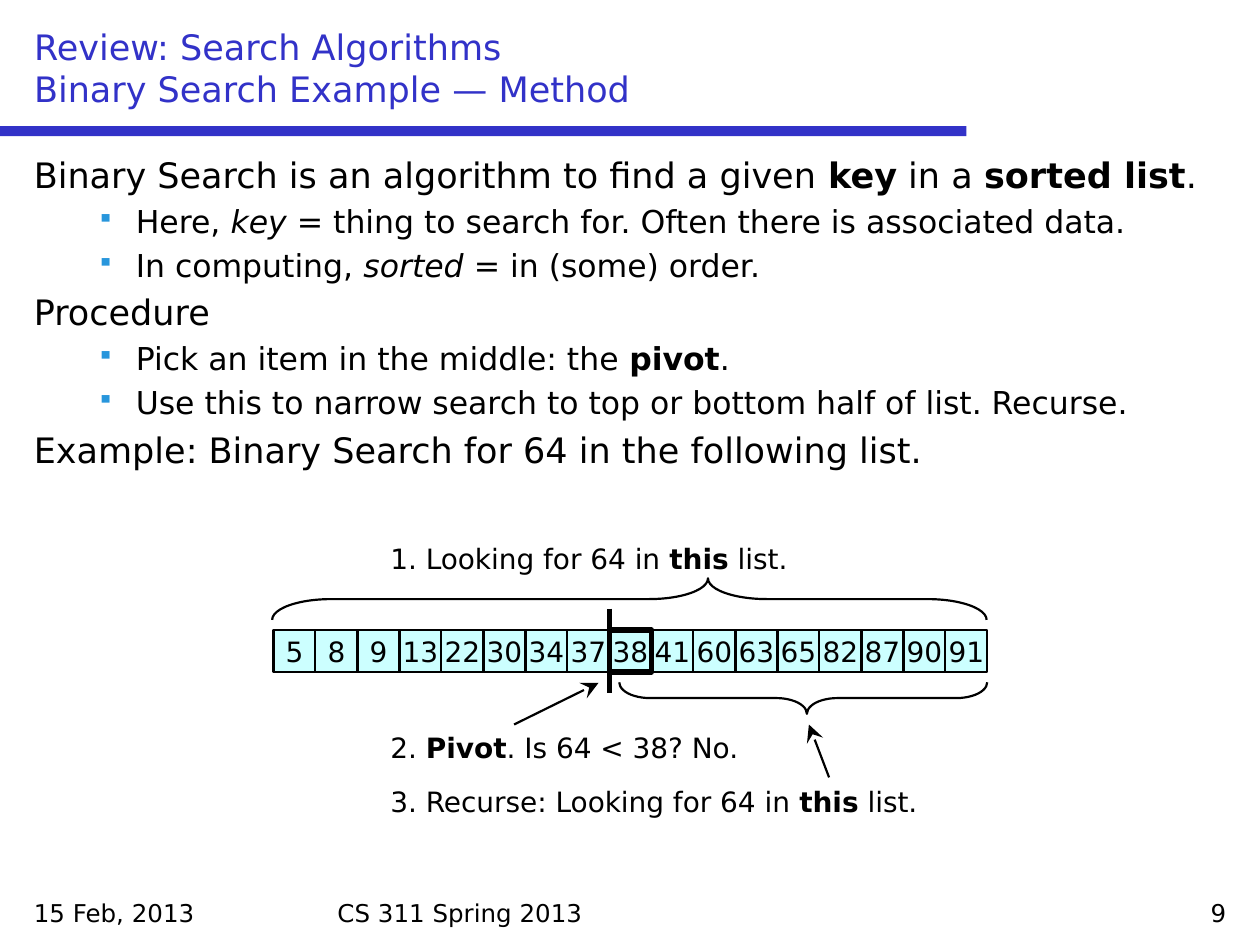
import pptx
import pptx.dml.color
import pptx.enum.shapes
import pptx.enum.text
import pptx.oxml
import pptx.oxml.ns
import pptx.util
from pptx.util import Inches

SHAPE = pptx.enum.shapes.MSO_SHAPE
ALIGN = pptx.enum.text.PP_ALIGN
ANCHOR = pptx.enum.text.MSO_ANCHOR
FONT, BLACK, BLUE, BULLET, CELL = "DejaVu Sans", "000000", "3232C8", "2896DC", "CCFFFF"
LIST = [5, 8, 9, 13, 22, 30, 34, 37, 38, 41, 60, 63, 65, 82, 87, 90, 91]
PIVOT = LIST.index(38)
SIDE = 1 / 3
LIST_LEFT, LIST_TOP = 2.17, 5
BODY = [
    (0, ["Binary Search is an algorithm to find a given ", ("key", "b"), " in a ",
         ("sorted list", "b"), "."]),
    (1, ["Here, ", ("key", "i"), " = thing to search for. Often there is associated data."]),
    (1, ["In computing, ", ("sorted", "i"), " = in (some) order."]),
    (0, ["Procedure"]),
    (1, ["Pick an item in the middle: the ", ("pivot", "b"), "."]),
    (1, ["Use this to narrow search to top or bottom half of list. Recurse."]),
    (0, ["Example: Binary Search for 64 in the following list."]),
]


def rgb(value):
    """Turn a hex string into a colour."""
    return pptx.dml.color.RGBColor.from_string(value)


def write(p, runs, size=16, color=BLACK, align=ALIGN.LEFT, before=0):
    """Write strings, (text, style) pairs and newline breaks into a paragraph."""
    p.alignment = align
    p.space_before = pptx.util.Pt(before)
    for run in runs:
        if run == "\n":
            p.add_line_break()
            continue
        text, style = (run, "") if isinstance(run, str) else run
        r = p.add_run()
        r.text = text
        r.font.name, r.font.size = FONT, pptx.util.Pt(size)
        r.font.color.rgb = rgb(color)
        r.font.bold, r.font.italic = style == "b", style == "i"


def indent(p, left, hanging, bullet=None):
    """Set a hanging indent and an optional coloured bullet."""
    ppr = p._p.get_or_add_pPr()
    ppr.set("marL", str(Inches(left)))
    ppr.set("indent", str(-Inches(hanging)))
    if bullet:
        ns = pptx.oxml.ns.nsdecls("a")
        for xml in (f'<a:buClr {ns}><a:srgbClr val="{BULLET}"/></a:buClr>',
                    f'<a:buSzPct {ns} val="75000"/>',
                    f'<a:buChar {ns} char="{bullet}"/>'):
            ppr.append(pptx.oxml.parse_xml(xml))


def add_text(s, left, top, width, height, runs, **fmt):
    """Add a wrapping one-paragraph text box."""
    tf = s.shapes.add_textbox(Inches(left), Inches(top), Inches(width), Inches(height)).text_frame
    tf.word_wrap = True
    write(tf.paragraphs[0], runs, **fmt)


def add_shape(s, kind, left, top, width, height, fill=None, line=None):
    """Add a preset shape with a flat fill and line."""
    sp = s.shapes.add_shape(kind, Inches(left), Inches(top), Inches(width), Inches(height))
    sp.shadow.inherit = False
    if fill:
        sp.fill.solid()
        sp.fill.fore_color.rgb = rgb(fill)
    else:
        sp.fill.background()
    if line:
        sp.line.color.rgb = rgb(BLACK)
        sp.line.width = pptx.util.Pt(line)
    else:
        sp.line.fill.background()
    return sp


def add_line(s, x1, y1, x2, y2, width=1.25, arrow=True):
    """Add a straight line, with an arrowhead at its end by default."""
    c = s.shapes.add_connector(pptx.enum.shapes.MSO_CONNECTOR.STRAIGHT,
                               Inches(x1), Inches(y1), Inches(x2), Inches(y2))
    c.line.color.rgb = rgb(BLACK)
    c.line.width = pptx.util.Pt(width)
    ns = pptx.oxml.ns.nsdecls("a")
    if arrow:
        c.line._get_or_add_ln().append(
            pptx.oxml.parse_xml(f'<a:tailEnd {ns} type="stealth" w="lg" len="lg"/>'))
    c._element.spPr.append(pptx.oxml.parse_xml(f"<a:effectLst {ns}/>"))


def add_brace(s, left, top, width, height, rotation, curve, point):
    """Add a brace turned to lie along the list."""
    sp = add_shape(s, SHAPE.LEFT_BRACE, left, top, width, height, line=1.25)
    sp.rotation = rotation
    sp.adjustments[0], sp.adjustments[1] = curve, point


def add_cell(s, index, line=1.25):
    """Add the list cell at an index."""
    sp = add_shape(s, SHAPE.RECTANGLE, LIST_LEFT + index * SIDE, LIST_TOP, SIDE, SIDE, CELL, line)
    tf = sp.text_frame
    tf.word_wrap = False
    tf.vertical_anchor = ANCHOR.MIDDLE
    write(tf.paragraphs[0], [str(LIST[index])], align=ALIGN.CENTER)


def add_title(s, runs):
    """Place and fill the title placeholder."""
    sp = s.shapes.title
    sp.left, sp.top, sp.width, sp.height = (Inches(v) for v in (0.17, 0.17, 9.67, 0.75))
    tf = sp.text_frame
    tf.auto_size = pptx.enum.text.MSO_AUTO_SIZE.NONE
    tf.vertical_anchor = ANCHOR.BOTTOM
    write(tf.paragraphs[0], runs, size=20, color=BLUE)


def add_body(s):
    """Add the two-level explanation."""
    tf = s.shapes.add_textbox(Inches(0.17), Inches(1.17), Inches(9.67), Inches(5.83)).text_frame
    tf.word_wrap = True
    for i, (level, runs) in enumerate(BODY):
        p = tf.add_paragraph() if i else tf.paragraphs[0]
        p.level = level
        if level:
            indent(p, 0.81, 0.31, "▪")
        else:
            indent(p, 0.38, 0.38)
        size = 18 if level else 20
        write(p, runs, size=size, before=size * 0.2 if i else 0)


def add_diagram(s):
    """Add the list with its braces, arrows and step labels."""
    for i in range(len(LIST)):
        if i != PIVOT:
            add_cell(s, i)
    add_cell(s, PIVOT, line=3)
    pivot_left = LIST_LEFT + PIVOT * SIDE
    add_line(s, pivot_left, 4.83, pivot_left, 5.5, width=3, arrow=False)
    add_brace(s, 4.83, 1.92, 0.33, 5.67, 90, 1.42, 0.39)
    add_brace(s, 6.25, 4.08, 0.25, 2.92, 270, 0.97, 0.51)
    add_line(s, 4.08, 5.75, 4.75, 5.42)
    add_line(s, 6.58, 6.17, 6.42, 5.75)
    for top, width, runs in (
            (4.25, 3.5, ["1. Looking for 64 in ", ("this", "b"), " list."]),
            (5.75, 3.08, ["2. ", ("Pivot", "b"), ". Is 64 < 38? No."]),
            (6.18, 5.33, ["3. Recurse: Looking for 64 in ", ("this", "b"), " list."])):
        add_text(s, 3, top, width, 0.37, runs)


def main():
    """Build the slide and save it."""
    prs = pptx.Presentation()
    prs.slide_width, prs.slide_height = Inches(10), Inches(7.5)
    s = prs.slides.add_slide(prs.slide_layouts[5])
    add_shape(s, SHAPE.RECTANGLE, 0, 1, 7.67, 0.08, fill=BLUE)
    add_title(s, ["Review: Search Algorithms", "\n", "Binary Search Example — Method"])
    add_body(s)
    add_diagram(s)
    for left, width, text, align in ((0.17, 2.33, "15 Feb, 2013", ALIGN.LEFT),
                                     (2.58, 4.83, "CS 311 Spring 2013", ALIGN.LEFT),
                                     (7.5, 2.33, "9", ALIGN.RIGHT)):
        add_text(s, left, 7.08, width, 0.33, [text], size=14, align=align)
    prs.save("out.pptx")


if __name__ == "__main__":
    main()
